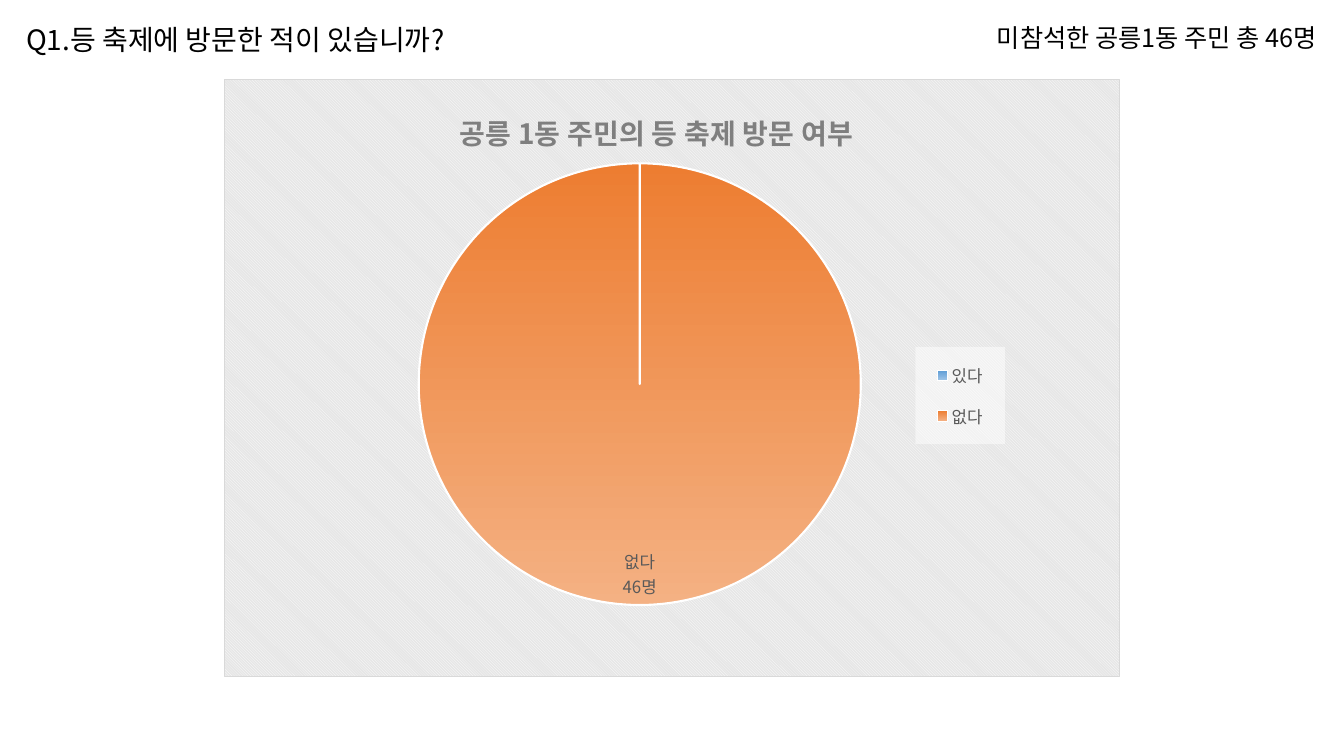
"""Builds the survey slide with a pie chart of festival visits."""
from dataclasses import dataclass
from lxml import etree
from pptx import Presentation
from pptx.chart.data import CategoryChartData
from pptx.dml.color import RGBColor
from pptx.enum.chart import XL_CHART_TYPE, XL_LABEL_POSITION, XL_LEGEND_POSITION
from pptx.enum.text import PP_ALIGN
from pptx.oxml import parse_xml
from pptx.util import Inches, Pt

PIE = XL_CHART_TYPE.PIE
INSIDE = XL_LABEL_POSITION.INSIDE_END
RIGHT = XL_LEGEND_POSITION.RIGHT
LEFT_TEXT, RIGHT_TEXT = PP_ALIGN.LEFT, PP_ALIGN.RIGHT

HEADS = [
    ("Q1.등 축제에 방문한 적이 있습니까?", (0.012, 0.023, 0.36, 0.058), 20, LEFT_TEXT),
    ("미참석한 공릉1동 주민 총 46명", (0.706, 0.023, 0.281, 0.053), 18, RIGHT_TEXT),
]
TITLE = "공릉 1동 주민의 등 축제 방문 여부"
VOTES = {"있다": 0, "없다": 100}
LABEL = ["없다", "46명"]
FRAME = (1 / 6, 0.105, 2 / 3, 0.79)
PLOT = (0.217, 0.14, 0.494, 0.741)
KEY = (0.772, 0.448, 0.1, 0.163)
HEAD = (0.257, 0.04)


@dataclass
class Theme:
    """Colours, font and type sizes."""
    font: str = "Noto Sans CJK KR"
    ink: str = "000000"
    title: str = "7F7F7F"
    note: str = "595959"
    white: str = "FFFFFF"
    back: str = "E6E6E6"
    edge: str = "D9D9D9"
    fades: tuple = (("5B9BD5", "9DC3E6"), ("ED7D31", "F4B183"))
    big: int = 20
    small: int = 12


LOOK = Theme()
SPACE = ('xmlns:c="http://schemas.openxmlformats.org/drawingml/2006/chart" '
         'xmlns:a="http://schemas.openxmlformats.org/drawingml/2006/main"')


def style(font, size, tint, bold=False):
    """Set the face, size and colour of a font."""
    font.name, font.size, font.bold = LOOK.font, Pt(size), bold
    font.color.rgb = RGBColor.from_string(tint)
    props = font._rPr
    for old in props.findall("{*}ea"):
        props.remove(old)
    face = parse_xml(f'<a:ea {SPACE} typeface="{LOOK.font}"/>')
    props.find("{*}latin").addnext(face)


def layout(spot, inner=False, edge=True):
    """Return a manual layout given as shares of the chart."""
    tags = '<c:layoutTarget val="inner"/>' if inner else ""
    if edge:
        tags += '<c:xMode val="edge"/><c:yMode val="edge"/>'
    tags += "".join(f'<c:{n} val="{v}"/>' for n, v in zip("xywh", spot))
    return parse_xml(f"<c:layout {SPACE}><c:manualLayout>{tags}</c:manualLayout></c:layout>")


def place(node, after, spot, inner=False, edge=True):
    """Replace the layout of a chart part."""
    for old in node.findall("{*}layout"):
        node.remove(old)
    item = layout(spot, inner, edge)
    if after:
        node.find("{*}" + after).addnext(item)
    else:
        node.insert(0, item)


def shape_props(body):
    """Return chart shape properties around the given fill."""
    return parse_xml(f"<c:spPr {SPACE}>{body}</c:spPr>")


def solid(tint, alpha=100):
    """Return a solid fill as XML text."""
    return (f'<a:solidFill><a:srgbClr val="{tint}"><a:alpha val="{alpha * 1000}"/>'
            "</a:srgbClr></a:solidFill>")


def add_pie(slide, box):
    """Add the pie with its title, legend and label."""
    data = CategoryChartData()
    data.categories = list(VOTES)
    data.add_series("Series 1", list(VOTES.values()))
    chart = slide.shapes.add_chart(PIE, *box, data).chart
    style(chart.font, 10, LOOK.ink)

    chart.has_title = True
    title = chart.chart_title
    title.text_frame.text = TITLE
    style(title.text_frame.paragraphs[0].runs[0].font, LOOK.big, LOOK.title, True)
    place(title._element, "tx", HEAD)

    chart.has_legend = True
    key = chart.legend
    key.position, key.include_in_layout = RIGHT, False
    style(key.font, LOOK.small, LOOK.note)
    place(key._element, "legendPos", KEY)
    key._element.find("{*}txPr").addprevious(shape_props(solid(LOOK.white, 50)))

    plot = chart.plots[0]
    plot.vary_by_categories = True
    place(chart._chartSpace.chart.plotArea, None, PLOT, inner=True)
    for i, fade in enumerate(LOOK.fades):
        form = plot.series[0].points[i].format
        form.fill.gradient()
        form.fill.gradient_angle = 270
        for stop, tint, pos in zip(form.fill.gradient_stops, fade, (0, 1)):
            stop.color.rgb, stop.position = RGBColor.from_string(tint), pos
        form.line.color.rgb = RGBColor.from_string(LOOK.white)
        form.line.width = Pt(1.5)

    label = plot.series[0].points[1].data_label
    frame = label.text_frame
    frame.text = "\n".join(LABEL)
    for para in frame.paragraphs:
        style(para.runs[0].font, LOOK.small, LOOK.note)
    label.position = INSIDE

    space = chart._chartSpace
    back = (f'<a:pattFill prst="dkDnDiag"><a:fgClr><a:srgbClr val="{LOOK.white}"/></a:fgClr>'
            f'<a:bgClr><a:srgbClr val="{LOOK.back}"/></a:bgClr></a:pattFill>')
    line = f'<a:ln w="{Pt(0.75)}">{solid(LOOK.edge)}</a:ln>'
    space.chart.addnext(shape_props(back + line))
    corner = etree.Element(space.tag.replace("chartSpace", "roundedCorners"), val="0")
    space.chart.addprevious(corner)
    for old in space.findall("{*}roundedCorners")[:-1]:
        space.remove(old)


def main():
    """Build and save the slide."""
    deck = Presentation()
    wide, high = deck.slide_width, deck.slide_height = Inches(13.33), Inches(7.5)
    slide = deck.slides.add_slide(deck.slide_layouts[6])

    def scale(box):
        return [int(part * size) for part, size in zip(box, (wide, high) * 2)]

    add_pie(slide, scale(FRAME))
    for text, box, size, side in HEADS:
        frame = slide.shapes.add_textbox(*scale(box)).text_frame
        frame.word_wrap = False
        frame.text = text
        frame.paragraphs[0].alignment = side
        style(frame.paragraphs[0].runs[0].font, size, LOOK.ink)


    deck.save("out.pptx")


if __name__ == "__main__":
    main()
